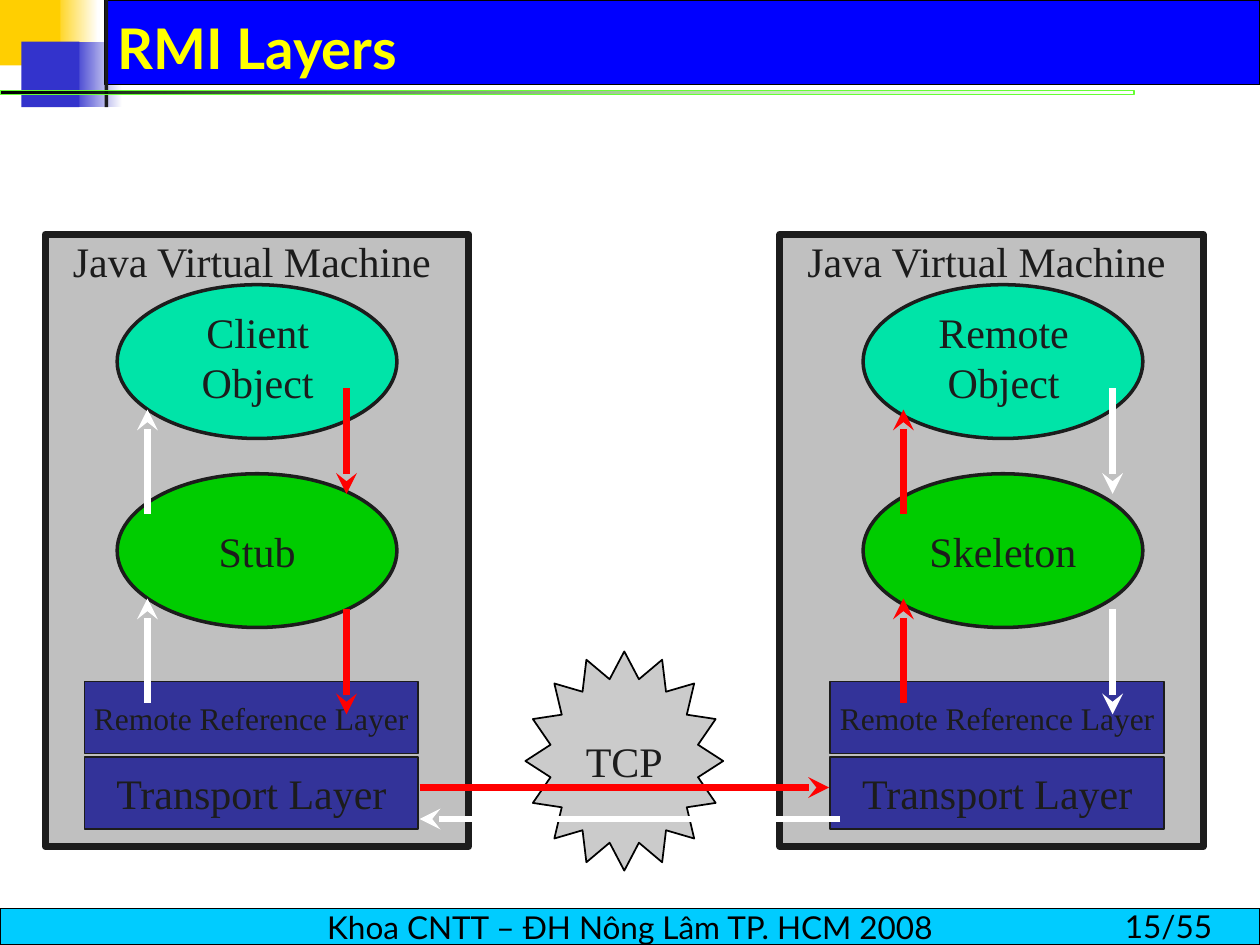
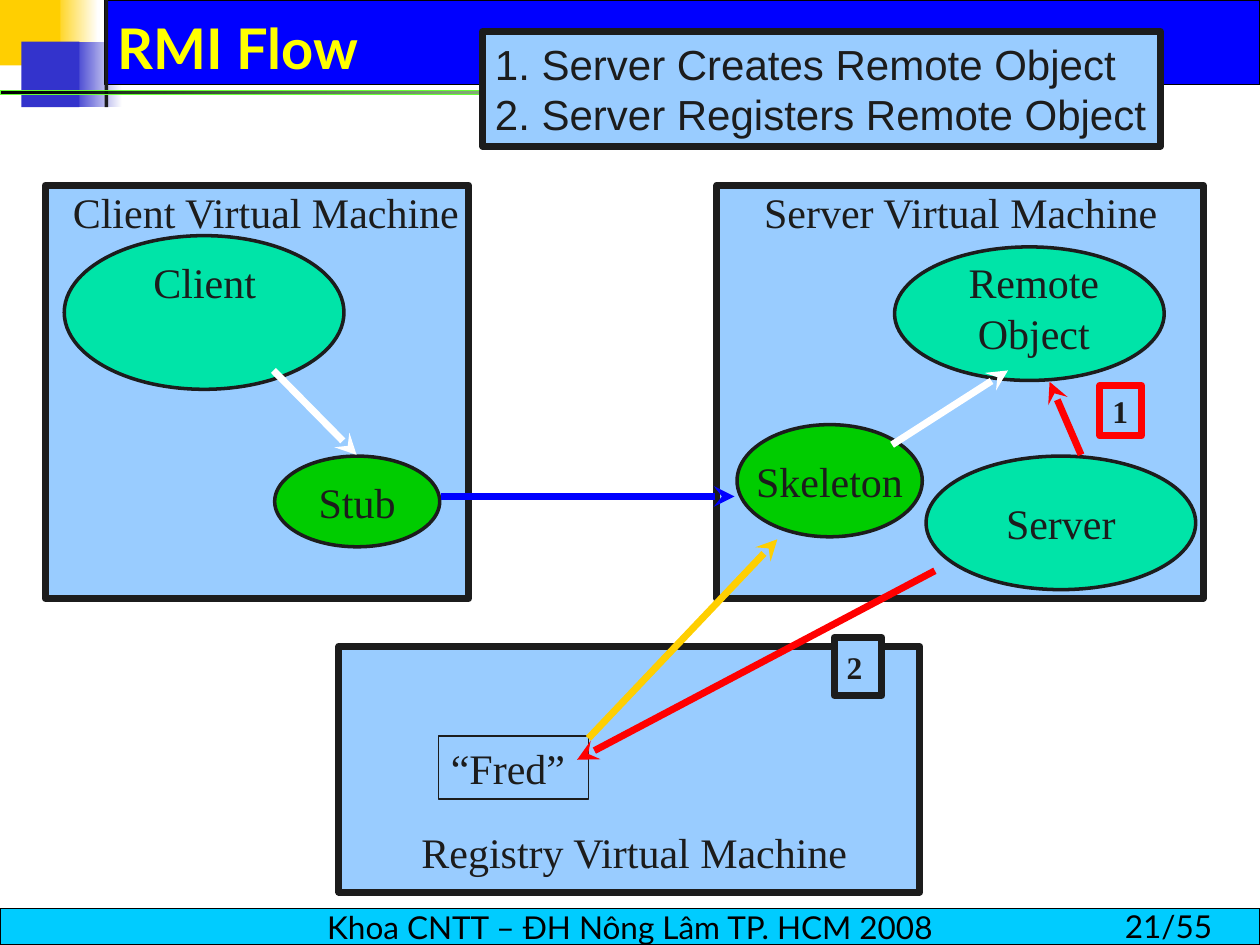
from lxml import etree
from pptx import Presentation
from pptx.dml.color import RGBColor
from pptx.enum.shapes import MSO_CONNECTOR, MSO_SHAPE
from pptx.enum.text import MSO_ANCHOR, PP_ALIGN
from pptx.oxml.ns import qn
from pptx.util import Inches, Pt

RECTANGLE, ELLIPSE, STAR = MSO_SHAPE.RECTANGLE, MSO_SHAPE.OVAL, MSO_SHAPE.STAR_16_POINT
STRAIGHT = MSO_CONNECTOR.STRAIGHT
LEFT, CENTER = PP_ALIGN.LEFT, PP_ALIGN.CENTER
TOP, MIDDLE = MSO_ANCHOR.TOP, MSO_ANCHOR.MIDDLE
TITLE_ONLY = 5

COLORS = {
    "white": "FFFFFF", "black": "000000", "ink": "1C1C1C",
    "gold": "FFCF01", "indigo": "3333CC", "blue": "0000FF",
    "lime": "66FF33", "cyan": "00CCFF", "yellow": "FFFF00",
    "silver": "C0C0C0", "star": "CBCBCB", "navy": "333399",
    "mint": "00E4A8", "green": "00CC00", "sky": "99CCFF", "red": "FF0000",
}
SERIF, SANS, BRAND = "Times New Roman", "Arial", "Lato"
TEXT_SIZE, SMALL_SIZE, TITLE_SIZE = 24, 18, 32
THICK, MEDIUM, THIN = 4, 2, 1


def rgb(name):
    return RGBColor.from_string(COLORS[name])


def write_text(shape, text, size=TEXT_SIZE, font=SERIF, color="ink", bold=False,
               align=CENTER, anchor=MIDDLE, wrap=False):
    frame = shape.text_frame
    frame.text = text
    frame.word_wrap = wrap
    frame.vertical_anchor = anchor
    for paragraph in frame.paragraphs:
        paragraph.alignment = align
        for run in paragraph.runs:
            run.font.size = Pt(size)
            run.font.name = font
            run.font.bold = bold
            run.font.color.rgb = rgb(color)


def add_block(slide, kind, box, fill=None, line=None, width=THIN, text=None, **style):
    """Add a preset shape; box is left, top, width, height in inches."""
    shape = slide.shapes.add_shape(kind, *map(Inches, box))
    shape.shadow.inherit = False
    if fill:
        shape.fill.solid()
        shape.fill.fore_color.rgb = rgb(fill)
    else:
        shape.fill.background()
    if line:
        shape.line.color.rgb = rgb(line)
        shape.line.width = Pt(width)
    else:
        shape.line.fill.background()
    if text:
        write_text(shape, text, **style)
    return shape


def add_fade(slide, box, start, end, **style):
    """Add a rectangle that fades leftwards from start to end."""
    shape = add_block(slide, RECTANGLE, box, **style)
    shape.fill.gradient()
    shape.fill.gradient_angle = 180
    for stop, position, color in zip(shape.fill.gradient_stops, (0, 1), (start, end)):
        stop.position = position
        stop.color.rgb = rgb(color)
    return shape


def add_label(slide, box, text, **style):
    label = slide.shapes.add_textbox(*map(Inches, box))
    write_text(label, text, anchor=TOP, **style)


def add_arrow(slide, start, end, color):
    arrow = slide.shapes.add_connector(STRAIGHT, *map(Inches, start + end))
    arrow.line.color.rgb = rgb(color)
    arrow.line.width = Pt(THICK)
    etree.SubElement(arrow.line._get_or_add_ln(), qn("a:tailEnd"), type="stealth")
    etree.SubElement(arrow.element.spPr, qn("a:effectLst"))


def add_panel(slide, box, fill):
    add_block(slide, RECTANGLE, box, fill, "ink", THICK)


def add_oval(slide, box, fill, text=None):
    add_block(slide, ELLIPSE, box, fill, "ink", MEDIUM, text)


def add_base_slide(presentation, title_text, page):
    """Add a slide with the corner squares, title band, rule and footer."""
    slide = presentation.slides.add_slide(presentation.slide_layouts[TITLE_ONLY])
    add_fade(slide, (0.42, 0, 0.36, 0.52), "white", "gold")
    add_fade(slide, (0.57, 0.33, 0.4, 0.52), "white", "indigo")
    add_block(slide, RECTANGLE, (0.83, 0, 9.17, 0.67), "blue", "black", 0.75)
    add_block(slide, RECTANGLE, (0, 0, 0.48, 0.52), "gold")
    add_block(slide, RECTANGLE, (0.17, 0.33, 0.46, 0.52), "indigo")
    add_block(slide, RECTANGLE, (0.83, 0, 0.03, 0.85), "ink")
    rule = add_fade(slide, (0, 0.72, 9, 0.03), "lime", "black", line="lime", width=0)
    first_color = rule.element.spPr.find(".//" + qn("a:gs")).find(qn("a:srgbClr"))
    etree.SubElement(first_color, qn("a:alpha"), val="0")

    footer = {"size": SMALL_SIZE, "font": BRAND, "color": "black"}
    add_block(slide, RECTANGLE, (0, 7.21, 10, 0.29), "cyan", "black", 0.75,
              "Khoa CNTT – ĐH Nông Lâm TP. HCM 2008", **footer)
    add_label(slide, (8.83, 7.15, 1.17, 0.4), f"{page}/55", align=LEFT, wrap=True, **footer)

    title = slide.shapes.title
    title.left, title.top, title.width, title.height = map(Inches, (0.83, 0.08, 8.94, 0.58))
    write_text(title, title_text, TITLE_SIZE, BRAND, "yellow", True, LEFT, wrap=True)
    title.element.getparent().append(title.element)  # in front of the band
    return slide


def add_java_machine(slide, panel_left, stack_left, object_name, proxy_name):
    add_panel(slide, (panel_left, 1.86, 3.36, 4.86), "silver")
    add_label(slide, (panel_left + 0.12, 1.82, 3.07, 0.5), "Java Virtual Machine", align=LEFT)
    layers = (("Remote Reference Layer", SMALL_SIZE), ("Transport Layer", TEXT_SIZE))
    for row, (name, size) in enumerate(layers):
        add_block(slide, RECTANGLE, (stack_left, 5.41 + 0.6 * row, 2.65, 0.57),
                  "navy", "ink", THIN, name, size=size)
    oval_left = stack_left + 0.26
    add_oval(slide, (oval_left, 2.26, 2.22, 1.22), "mint")
    add_label(slide, (oval_left + 0.24, 2.38, 1.75, 0.9), object_name, wrap=True)
    add_oval(slide, (oval_left, 3.76, 2.22, 1.22), "green", proxy_name)


def add_call_arrows(slide, up_x, up_color, down_x, down_color):
    for step in range(2):
        up_y, down_y = 4.08 + 1.5 * step, 3.08 + 1.75 * step
        add_arrow(slide, (up_x, up_y), (up_x, up_y - 0.83), up_color)
        add_arrow(slide, (down_x, down_y), (down_x, down_y + 0.84), down_color)


def build_layers_slide(presentation):
    slide = add_base_slide(presentation, "RMI Layers", 15)
    star = add_block(slide, STAR, (4.17, 5.17, 1.57, 1.74), "star", "black", THIN, "TCP")
    star.adjustments[0] = 0.38
    add_java_machine(slide, 0.36, 0.67, "Client Object", "Stub")
    add_java_machine(slide, 6.19, 6.59, "Remote Object", "Skeleton")
    add_arrow(slide, (6.67, 6.5), (3.33, 6.5), "white")
    add_arrow(slide, (3.33, 6.25), (6.58, 6.25), "red")
    add_call_arrows(slide, 1.17, "white", 2.75, "red")
    add_call_arrows(slide, 7.17, "red", 8.83, "white")


def build_flow_slide(presentation):
    slide = add_base_slide(presentation, "RMI Flow", 21)
    for box in ((0.36, 1.47, 3.36, 3.28), (5.69, 1.47, 3.86, 3.28), (2.69, 5.13, 4.61, 1.95)):
        add_panel(slide, box, "sky")
    add_label(slide, (0.48, 1.43, 3.29, 0.5), "Client Virtual Machine", align=LEFT)
    add_label(slide, (5.75, 1.43, 3.75, 0.5), "Server Virtual Machine", wrap=True)
    add_label(slide, (2.82, 6.51, 4.43, 0.5), "Registry Virtual Machine", wrap=True)

    add_oval(slide, (0.51, 1.87, 2.22, 1.22), "mint")
    add_label(slide, (0.75, 1.99, 1.75, 0.5), "Client", wrap=True)
    add_oval(slide, (7.1, 1.96, 2.14, 1.06), "mint")
    add_label(slide, (7.33, 1.99, 1.75, 0.9), "Remote Object", wrap=True)
    add_oval(slide, (2.18, 3.62, 1.31, 0.72), "green", "Stub")
    add_oval(slide, (5.85, 3.37, 1.47, 0.89), "green", "Skeleton")
    add_oval(slide, (7.35, 3.62, 2.14, 1.06), "mint", "Server")
    add_block(slide, RECTANGLE, (3.48, 5.84, 1.19, 0.5), None, "ink", THIN,
              "“Fred”", align=LEFT, anchor=TOP)

    badge = {"size": SMALL_SIZE, "bold": True, "align": LEFT}
    add_block(slide, RECTANGLE, (8.73, 3.06, 0.33, 0.4), None, "red", THICK,
              "1", anchor=TOP, **badge)
    add_block(slide, RECTANGLE, (6.62, 5.06, 0.38, 0.46), "sky", "ink", THICK, "2", **badge)

    for start, end, color in (
        ((2.17, 2.94), (2.83, 3.61), "white"),
        ((7.08, 3.53), (8, 2.94), "white"),
        ((4.67, 5.86), (6.17, 4.28), "gold"),
        ((3.5, 3.94), (5.83, 3.94), "blue"),
        ((8.58, 3.61), (8.33, 3.03), "red"),
        ((7.42, 4.53), (4.58, 6.03), "red"),
    ):
        add_arrow(slide, start, end, color)

    add_block(slide, RECTANGLE, (3.83, 0.25, 5.38, 0.91), "sky", "ink", THICK,
              "1. Server Creates Remote Object\n2. Server Registers Remote Object",
              font=SANS, align=LEFT)


def main():
    presentation = Presentation()
    presentation.slide_width, presentation.slide_height = Inches(10), Inches(7.5)
    build_layers_slide(presentation)
    build_flow_slide(presentation)
    presentation.save("out.pptx")


if __name__ == "__main__":
    main()
